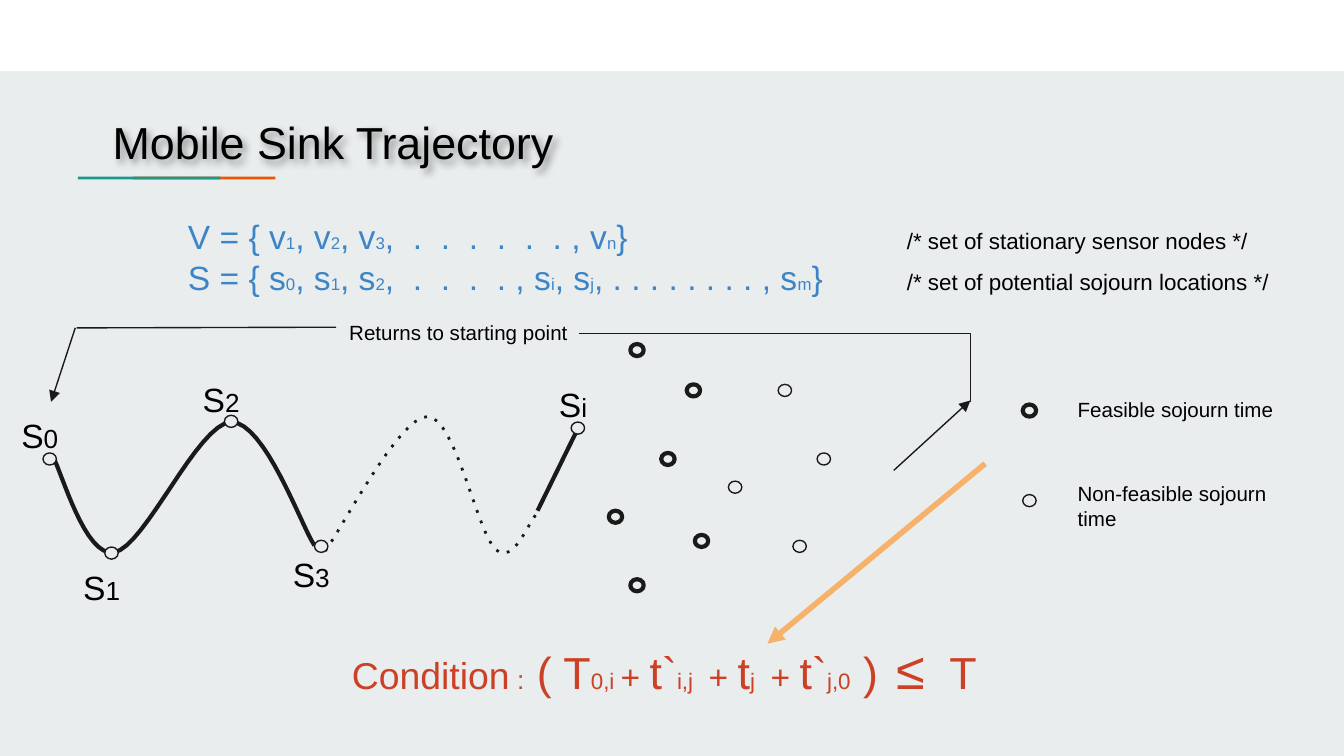
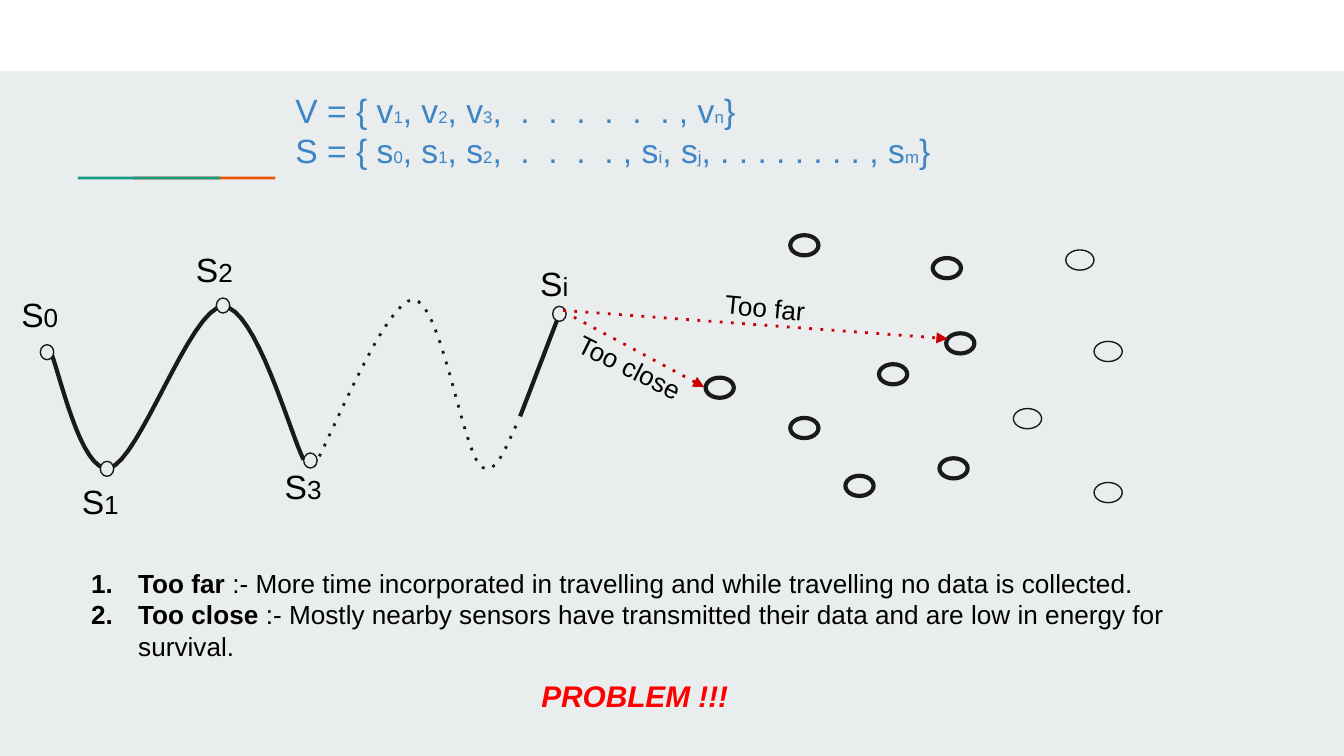
from itertools import cycle

from lxml import etree
from pptx import Presentation
from pptx import util as u
from pptx.dml.color import RGBColor
from pptx.enum import shapes, text
from pptx.oxml.ns import qn

# The slide is a grid of 100 columns by 56.25 rows; all lengths are in cells.
CELL = u.Inches(0.1)
COLS, ROWS = 100, 56.25

PALE = RGBColor(0xE9, 0xED, 0xEE)
WHITE = RGBColor(0xFF, 0xFF, 0xFF)
INK = RGBColor(0x1A, 0x1A, 0x1A)
BLACK = RGBColor(0, 0, 0)
TEAL = RGBColor(0x1A, 0x99, 0x88)
RUST = RGBColor(0xEB, 0x56, 0x00)
BLUE = RGBColor(0x3D, 0x85, 0xC6)
BRICK = RGBColor(0xCC, 0x41, 0x25)
PEACH = RGBColor(0xF6, 0xB2, 0x6B)
CRIMSON = RGBColor(0xCC, 0x00, 0x00)
RED = RGBColor(0xFF, 0x00, 0x00)
THIN, DOTTED, THICK = 0.75, 1.5, 2.25
FONT = "Arial"


def stroke(shape, tone, width, dot=False, tip=False):
    """Style an outline or connector, without a shadow."""
    shape.line.color.rgb = tone
    shape.line.width = u.Pt(width)
    props = shape.element.spPr
    ln = props.find(qn("a:ln"))
    if dot:
        etree.SubElement(ln, qn("a:prstDash"), val="dot")
    if tip:
        etree.SubElement(ln, qn("a:tailEnd"), type="triangle")
    etree.SubElement(props, qn("a:effectLst"))


def write(slide, box, lines, sizes, tone=BLACK, turn=0):
    """Add a text box; runs are split at | and take the sizes in turn."""
    area = slide.shapes.add_textbox(*[round(v * CELL) for v in box])
    area.rotation = turn
    frame = area.text_frame
    frame.word_wrap = True
    frame.vertical_anchor = text.MSO_ANCHOR.TOP
    frame.margin_left = frame.margin_right = CELL
    frame.margin_top = frame.margin_bottom = CELL
    for i, line in enumerate(lines):
        para = frame.add_paragraph() if i else frame.paragraphs[0]
        para.font.name = FONT
        para.font.color.rgb = tone
        para.font.size = u.Pt(sizes[0])
        for part, size in zip(line.split("|"), cycle(sizes)):
            run = para.add_run()
            run.text = part
            if size != sizes[0]:
                run.font.size = u.Pt(size)
    return area


deck = Presentation()
deck.slide_width = round(COLS * CELL)
deck.slide_height = round(ROWS * CELL)

SETS = [
    "V = { v|1|, v|2|, v|3|,  .  .  .  .  .  . , v|n|}",
    "S = { s|0|, s|1|, s|2|,  .  .  .  . , s|i|, s|j|, . . . . . . . . , s|m|}",
]

# Each curve: a start, then two handles and an end for every bend
CURVES = [
    ([(3.9, 33.9), (4.6, 35.1), (6.3, 41.5), (8.5, 41.1), (10.8, 40.7),
      (14.7, 31.5), (17.2, 31.4), (19.7, 31.4), (22.4, 39.1), (23.4, 40.6)],
     THICK, False),
    ([(24.2, 41), (25.4, 39.4), (29.7, 31), (31.8, 31), (33.9, 31),
      (35.5, 39.7), (36.9, 40.9), (38.2, 42.1), (39.4, 38.7), (39.9, 38.3)],
     DOTTED, True),
    ([(40, 38), (40.5, 37), (42.5, 32.9), (43, 31.9)], THICK, False),
]
STOPS = [(3.2, 33.7), (7.8, 40.7), (16.7, 30.9), (23.4, 40.2), (42.5, 31.4)]
STEPS = 16

# Per slide: x and y as (scale, shift), label spots, dot size,
# feasible dots, non-feasible dots, place of the sets
VIEWS = [
    ((1, 0), (1, 0),
     [(0.6, 29.9), (5.2, 41.2), (14.1, 27.2), (20.8, 40.2), (40.6, 27.6)],
     (1, 0.9),
     [(46.9, 25.6), (51.1, 28.6), (49.2, 33.7), (45.3, 38), (46.9, 43.1),
      (51.7, 39.8), (76.1, 30.1)],
     [(54.2, 35.8), (59, 40.2), (57.9, 28.6), (60.8, 33.7), (76.1, 36.8)],
     (13, 15.1, 83, 8.2)),
    ((0.97, -0.1), (1.24, -16.14),
     [(0.6, 20.9), (5.1, 34.8), (13.6, 17.5), (20.2, 33.7), (39.2, 18.6)],
     (2.1, 1.5),
     [(58.8, 17.5), (69.4, 19.2), (65.4, 27.1), (58.8, 31.1), (62.9, 35.4),
      (69.9, 34.1), (70.4, 24.8), (52.5, 28.1)],
     [(75.4, 30.4), (81.4, 35.9), (79.3, 18.6), (81.4, 25.4)],
     (21, 5.7, 66.8, 8.2)),
]

pages, sets = [], []
for (sx, dx), (sy, dy), spots, dot, near, far, place in VIEWS:
    slide = deck.slides.add_slide(deck.slide_layouts[6])
    pages.append(slide)
    slide.background.fill.solid()
    slide.background.fill.fore_color.rgb = PALE

    for box, tone in [((0, 0, COLS, 5.3), WHITE),
                      ((9.9, 13.15, 10.6, 0.2), RUST),
                      ((5.8, 13.15, 10.6, 0.2), TEAL)]:
        bar = slide.shapes.add_shape(shapes.MSO_SHAPE.RECTANGLE,
                                     *[round(v * CELL) for v in box])
        bar.shadow.inherit = False
        bar.fill.solid()
        bar.fill.fore_color.rgb = tone
        bar.line.fill.background()

    for knots, width, dotted in CURVES:
        knots = [((x * sx + dx) * CELL, (y * sy + dy) * CELL)
                 for x, y in knots]
        trail = []
        for k in range(0, len(knots) - 1, 3):
            for t in [n / STEPS for n in range(1, STEPS + 1)]:
                trail.append([
                    (1 - t) ** 3 * a + 3 * t * (1 - t) ** 2 * b
                    + 3 * t * t * (1 - t) * c + t ** 3 * d
                    for a, b, c, d in zip(*knots[k:k + 4])])
        pen = slide.shapes.build_freeform(*knots[0])
        pen.add_line_segments(trail, close=False)
        curve = pen.convert_to_shape()
        curve.fill.background()
        stroke(curve, INK, width, dotted)

    rings = [(x * sx + dx, y * sy + dy, 1, 0.9 * sy, THIN) for x, y in STOPS]
    rings += [(*spot, *dot, THICK) for spot in near]
    rings += [(*spot, *dot, THIN) for spot in far]
    for *box, width in rings:
        ring = slide.shapes.add_shape(shapes.MSO_SHAPE.OVAL,
                                      *[round(v * CELL) for v in box])
        ring.fill.solid()
        ring.fill.fore_color.rgb = PALE
        stroke(ring, INK, width)

    for mark, spot in zip("0123i", spots):
        write(slide, (*spot, 6.2, 3.6), [f"S|{mark}"], (18, 14))
    sets.append(write(slide, place, SETS, (18, 9), BLUE))

first, last = pages

# Slide 1: title, notes on the sets, legend and condition
title = write(first, (7.4, 7.5, 72.6, 5.2), ["Mobile Sink Trajectory"], (24,))
glow = etree.SubElement(title.element.spPr, qn("a:effectLst"))
cast = etree.SubElement(glow, qn("a:outerShdw"), blurRad="50800",
                        dist="38100", dir="2700000")
shade = etree.SubElement(cast, qn("a:srgbClr"), val=str(BLACK))
etree.SubElement(shade, qn("a:alpha"), val="40000")

for para, note in zip(sets[0].text_frame.paragraphs,
                      ["/* set of stationary sensor nodes */",
                       "/* set of potential sojourn locations */"]):
    run = para.add_run()
    run.text = "\t" + note
    run.font.size = u.Pt(12)
    run.font.color.rgb = BLACK
    tabs = etree.Element(qn("a:tabLst"))
    etree.SubElement(tabs, qn("a:tab"), pos=str(round(53.5 * CELL)), algn="l")
    para._p.get_or_add_pPr().insert(0, tabs)

write(first, (79.2, 28.6, 19, 3.8), ["Feasible sojourn time"], (11,))
write(first, (79.2, 34.8, 17.4, 2.9), ["Non-feasible sojourn time"], (11,))
back = write(first, (25, 22.9, 19.6, 2.9), ["Returns to starting point"], (11,))
write(first, (25.2, 46.4, 49, 7.7),
      ["Condition| :| ( T|0,i |+ |t`|i,j | + |t|j | + |t`|j,0  |) | |≤|  T"],
      (20, 14, 24, 12, 18, 24, 12, 18, 24, 12, 18, 24, 12, 24, 12, 28, 24),
      BRICK)

# Connectors: slide, ends, colour, width, dotted, arrowhead
LINKS = [
    (first, (73.3, 34.5, 57.1, 47.9), PEACH, 3, False, True),
    (first, (66.5, 35, 72.2, 29.8), INK, THIN, False, True),
    (first, (5.6, 24.4, 3.8, 29.9), INK, THIN, False, True),
    (first, (5.7, 24.4, 25, 24.4), INK, THIN, False, False),
    (first, (72.2, 29.9, 43.1, 24.8), INK, THIN, False, False),
    (last, (42.7, 23.6, 52.4, 28.8), CRIMSON, DOTTED, True, True),
    (last, (41.9, 23.1, 70.5, 25.2), CRIMSON, DOTTED, True, True),
]
for slide, ends, tone, width, dotted, tip in LINKS:
    elbow = ends[0] == 72.2
    kind = shapes.MSO_CONNECTOR.ELBOW if elbow else shapes.MSO_CONNECTOR.STRAIGHT
    link = slide.shapes.add_connector(kind, *[round(v * CELL) for v in ends])
    stroke(link, tone, width, dotted, tip)
    if elbow:
        guides = link.element.spPr.find(qn("a:prstGeom")).find(qn("a:avLst"))
        etree.SubElement(guides, qn("a:gd"), name="adj1", fmla="val 0")
    if ends[2] == 25:
        link.end_connect(back, 1)

# Slide 2: names of the arrows, the two cases and the verdict
write(last, (53, 20.7, 8.1, 3.6), ["Too far"], (14,), turn=5.3)
write(last, (41.9, 25.3, 10.8, 3.6), ["Too close"], (14,), turn=26.6)
cases = write(last, (4.3, 41.2, 87.1, 8.2), [
    "Too far |:- More time incorporated in travelling and while travelling "
    "no data is collected.",
    "Too close| :- Mostly nearby sensors have transmitted their data and are "
    "low in energy for survival."], (14,))
for para in cases.text_frame.paragraphs:
    para.runs[0].font.bold = True
    props = para._p.get_or_add_pPr()
    props.set("marL", str(5 * CELL))
    props.set("indent", str(round(-3.5 * CELL)))
    props.insert(0, etree.Element(qn("a:buAutoNum"), type="arabicPeriod"))
cry = write(last, (39.3, 49.4, 16, 4.8), ["PROBLEM !!!"], (16,), RED)
cry.text_frame.paragraphs[0].font.bold = True
cry.text_frame.paragraphs[0].font.italic = True

deck.save("out.pptx")
